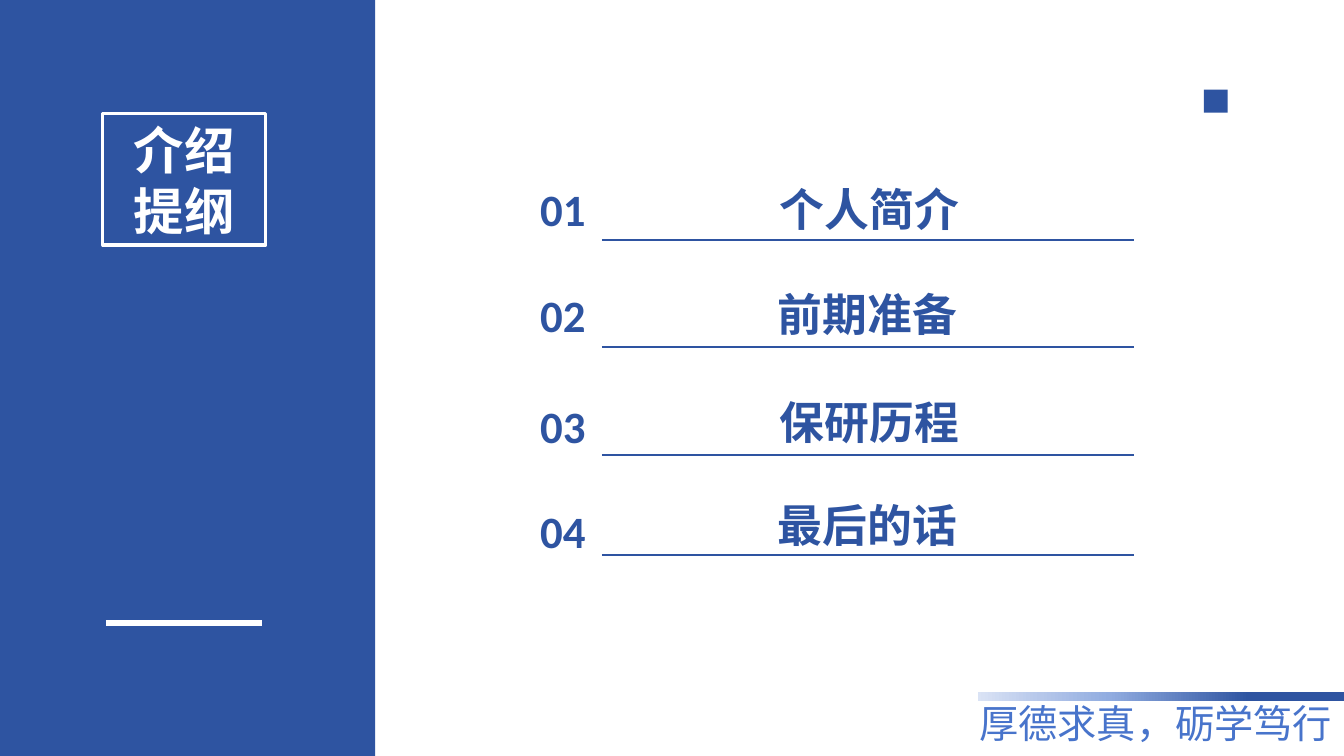
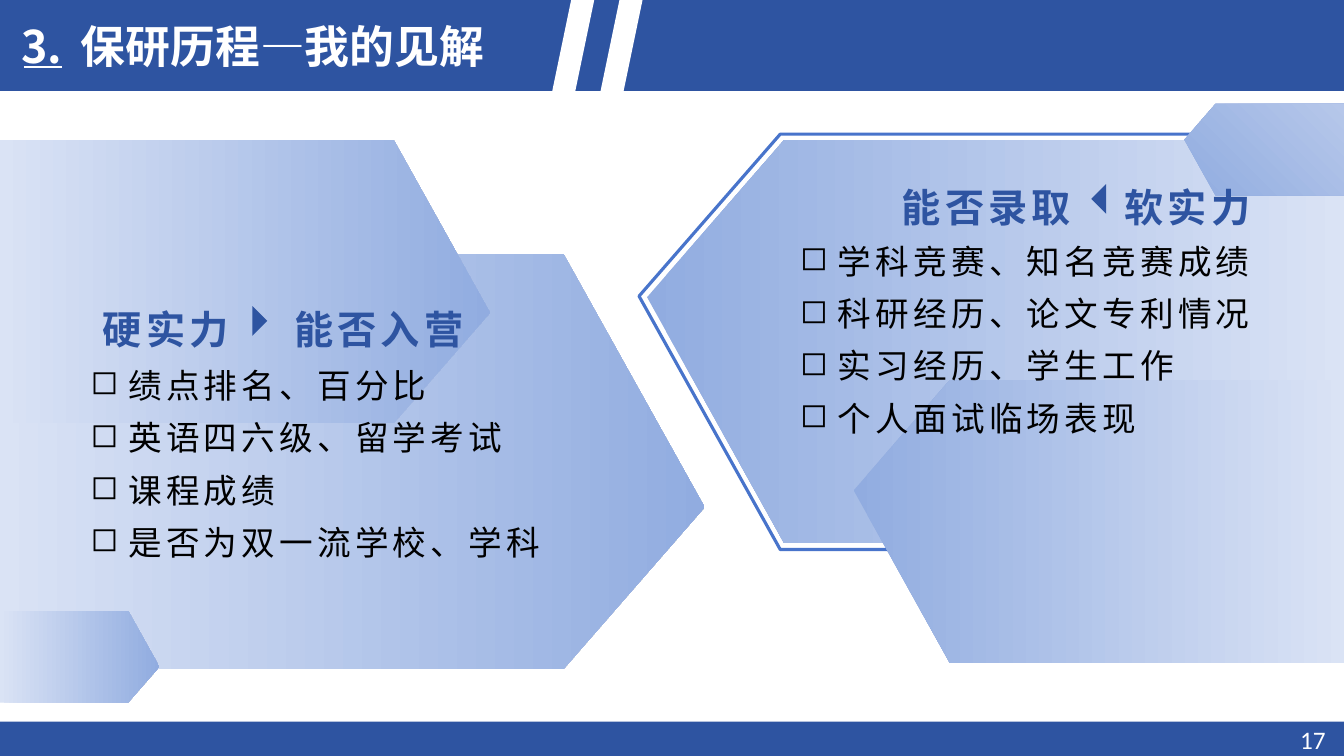
import pptx
import pptx.util
import pptx.dml.color
import pptx.enum.shapes
import pptx.enum.text
import pptx.oxml
import pptx.oxml.ns
import lxml.etree

Pt = pptx.util.Pt
RGBColor = pptx.dml.color.RGBColor
SHAPE = pptx.enum.shapes.MSO_SHAPE
ALIGN = pptx.enum.text.PP_ALIGN
ANCHOR = pptx.enum.text.MSO_ANCHOR
qn = pptx.oxml.ns.qn

NAVY = RGBColor(0x2E, 0x54, 0xA1)
BLUE = RGBColor(0x48, 0x74, 0xCB)
SKY = RGBColor(0x91, 0xAC, 0xE0)
MIST = RGBColor(0xB6, 0xC7, 0xEA)
PALE = RGBColor(0xDA, 0xE3, 0xF5)
WHITE = RGBColor(0xFF, 0xFF, 0xFF)
BLACK = RGBColor(0, 0, 0)

CHINESE = "Noto Sans CJK SC"
SLOGAN_FONT = "Noto Sans CJK JP"
WIDTH, HEIGHT = 960, 540
BAND = 65
FOOTER_TOP = 515.5

OUTLINE_TITLE = ["介绍", "提纲"]
SLOGAN = "厚德求真，砺学笃行"
AGENDA = [
    ("01", "个人简介", 621, 126, 126, 171.4),
    ("02", "前期准备", 619.6, 201.5, 202.3, 247.7),
    ("03", "保研历程", 621, 278.5, 281.5, 324.7),
    ("04", "最后的话", 619.6, 352, 356.4, 396.7),
]
VIEW_TITLE = "3.\t保研历程—我的见解"
PAGE_NUMBER = "17"
HARD_HEXAGONS = [
    (0, 181.4, 503.3, 296.6),
    (0, 100, 350, 202.3),
    (0, 436.3, 113.8, 65.5),
]
SOFT_MAIN = (462.2, 100, 497.8, 288)
SOFT_OUTLINE = (456.5, 95.8, 503.5, 296.7)
SOFT_CORNER = (846, 74.2, 114, 65.5)
SOFT_LOWER = (609.8, 271.4, 350.2, 202.3)
STRENGTHS = [
    {
        "headings": [("硬实力", 64, 109), ("能否入营", 201, 139)],
        "heading_top": 204.5,
        "arrow": (172.8, 221.8, 225),
        "list_at": (57.6, 248.4),
        "items": ["绩点排名、百分比", "英语四六级、留学考试", "课程成绩", "是否为双一流学校、学科"],
    },
    {
        "headings": [("能否录取", 634.3, 140.4), ("软实力", 794.2, 108)],
        "heading_top": 117.5,
        "arrow": (782.6, 134.6, 45),
        "list_at": (564.5, 159.8),
        "items": ["学科竞赛、知名竞赛成绩", "科研经历、论文专利情况", "实习经历、学生工作", "个人面试临场表现"],
    },
]


def write(box, text, size=32, font=CHINESE, color=NAVY, bold=False, align=ALIGN.CENTER,
          pitch=None, spacing=0, bullet=None, indent=0, tab=None, wrap=True, shadow=False):
    frame = box.text_frame
    frame.word_wrap = wrap
    frame.auto_size = pptx.enum.text.MSO_AUTO_SIZE.NONE
    frame.vertical_anchor = ANCHOR.TOP
    lines = [text] if isinstance(text, str) else text
    for index, line in enumerate(lines):
        para = frame.add_paragraph() if index else frame.paragraphs[0]
        para.alignment = align
        if pitch:
            para.line_spacing = Pt(pitch)
        properties = para._p.get_or_add_pPr()
        if bullet:
            properties.set("marL", str(Pt(indent)))
            properties.set("indent", str(-Pt(indent)))
            lxml.etree.SubElement(properties, qn("a:buChar"), char=bullet)
        if tab:
            stops = lxml.etree.SubElement(properties, qn("a:tabLst"))
            lxml.etree.SubElement(stops, qn("a:tab"), pos=str(Pt(tab)), algn="l")
        span = para.add_run()
        span.text = line
        span.font.size = Pt(size)
        span.font.bold = bold
        span.font.color.rgb = color
        span.font.name = font
        run_properties = span._r.get_or_add_rPr()
        latin = run_properties.find(qn("a:latin"))
        east_asian = lxml.etree.Element(qn("a:ea"), typeface=CHINESE if font == "Arial" else font)
        latin.addnext(east_asian)
        if spacing:
            run_properties.set("spc", str(spacing * 100))
        if shadow:
            latin.addprevious(pptx.oxml.parse_xml(
                '<a:effectLst xmlns:a="http://schemas.openxmlformats.org/drawingml/2006/main">'
                '<a:outerShdw blurRad="38100" dist="38100" dir="2700000" algn="tl">'
                '<a:srgbClr val="000000"><a:alpha val="40000"/></a:srgbClr>'
                '</a:outerShdw></a:effectLst>'))


def add_text(page, left, top, width, height, text, **style):
    box = page.shapes.add_textbox(Pt(left), Pt(top), Pt(width), Pt(height))
    write(box, text, **style)
    return box


def move_title(page, left, top, width, height, text, **style):
    title = page.shapes.title
    title.left, title.top, title.width, title.height = Pt(left), Pt(top), Pt(width), Pt(height)
    title.element.getparent().append(title.element)
    write(title, text, color=WHITE, bold=True, **style)
    return title


def add_block(page, left, top, width, height, color=NAVY, kind=SHAPE.RECTANGLE):
    block = page.shapes.add_shape(kind, Pt(left), Pt(top), Pt(width), Pt(height))
    block.shadow.inherit = False
    block.line.fill.background()
    block.fill.solid()
    block.fill.fore_color.rgb = color
    return block


def add_rule(page, left, right, y, color, weight):
    rule = page.shapes.add_connector(pptx.enum.shapes.MSO_CONNECTOR.STRAIGHT,
                                     Pt(left), Pt(y), Pt(right), Pt(y))
    rule.line.color.rgb = color
    rule.line.width = Pt(weight)
    lxml.etree.SubElement(rule._element.spPr, qn("a:effectLst"))


def shade(shape, stops, angle=0):
    shape.fill.gradient()
    shape.fill.gradient_angle = angle
    stop_list = shape._element.spPr.find(".//" + qn("a:gsLst"))
    for stop in list(stop_list):
        stop_list.remove(stop)
    for percent, color in stops:
        stop = lxml.etree.SubElement(stop_list, qn("a:gs"), pos=str(percent * 1000))
        lxml.etree.SubElement(stop, qn("a:srgbClr"), val=str(color))


def add_hexagon(page, left, top, width, height, faces_right, closed=True):
    slope = 0.34 * height
    bottom = top + height
    if faces_right:
        tail, shoulder, nose = left, left + width - slope, left + width
        nose_y = top + 0.61 * height
    else:
        tail, shoulder, nose = left + width, left + slope, left
        nose_y = top + 0.39 * height
    points = [(tail, top), (shoulder, top), (nose, nose_y), (shoulder, bottom), (tail, bottom)]
    corners = [(Pt(x), Pt(y)) for x, y in points]
    builder = page.shapes.build_freeform(*corners[0])
    builder.add_line_segments(corners[1:], close=closed)
    hexagon = builder.convert_to_shape()
    hexagon.shadow.inherit = False
    hexagon.line.fill.background()
    return hexagon


def build_outline(page):
    add_block(page, 0, 0, 268, HEIGHT)
    title = move_title(page, 73.4, 81, 116.6, 94, OUTLINE_TITLE, size=36, pitch=43.5)
    title.line.color.rgb = WHITE
    title.line.width = Pt(2.25)
    add_rule(page, 75.6, 187.2, 445, WHITE, 4.5)
    add_block(page, 860, 64, 17, 16.5)
    for number, label, center, label_top, number_top, rule_y in AGENDA:
        add_text(page, center - 155, label_top, 310, 46, label, bold=True, pitch=38.5)
        add_text(page, 375.8, number_top, 52.6, 46, number, font="Calibri", bold=True)
        add_rule(page, 430, 810, rule_y, NAVY, 1.5)
    bar = add_block(page, 698.4, 494.6, WIDTH - 698.4, 6)
    shade(bar, [(0, PALE), (17, MIST), (36, SKY), (74, NAVY), (100, NAVY)])
    add_text(page, 691, 496, WIDTH - 691, 41, SLOGAN, size=28, font=SLOGAN_FONT,
             color=BLUE, pitch=33.5, wrap=False, shadow=True)


def build_view(page):
    add_block(page, 0, 0, WIDTH, BAND)
    add_block(page, 0, FOOTER_TOP, WIDTH, HEIGHT - FOOTER_TOP)
    move_title(page, 8, 10, 380, 46, VIEW_TITLE, align=ALIGN.LEFT, pitch=38.5, tab=42.5)
    add_rule(page, 17, 44, 47.8, WHITE, 1.5)
    for left in (394.5, 429):
        stripe = add_block(page, left, 0, 30, BAND, WHITE, SHAPE.PARALLELOGRAM)
        stripe.adjustments[0] = 0.45
    add_text(page, 921.6, 514, WIDTH - 921.6, 26, PAGE_NUMBER, size=18, font="Calibri",
             color=WHITE, align=ALIGN.LEFT, wrap=False)

    for place in HARD_HEXAGONS:
        shade(add_hexagon(page, *place, faces_right=True), [(0, PALE), (100, SKY)])
    shade(add_hexagon(page, *SOFT_MAIN, faces_right=False), [(0, SKY), (100, PALE)])
    outline = add_hexagon(page, *SOFT_OUTLINE, faces_right=False, closed=False)
    outline.fill.background()
    outline.line.color.rgb = BLUE
    outline.line.width = Pt(2.25)
    shade(add_hexagon(page, *SOFT_CORNER, faces_right=False), [(0, SKY), (100, MIST)], angle=45)
    shade(add_hexagon(page, *SOFT_LOWER, faces_right=False), [(0, SKY), (100, PALE)])

    for strength in STRENGTHS:
        for heading, left, width in strength["headings"]:
            add_text(page, left, strength["heading_top"], width, 51, heading, size=28,
                     bold=True, pitch=43.7, spacing=3, wrap=False)
        left, top, turn = strength["arrow"]
        arrow = add_block(page, left, top, 15, 15, kind=SHAPE.RIGHT_TRIANGLE)
        arrow.rotation = turn
        add_text(page, *strength["list_at"], 338.4, 158, strength["items"], size=24,
                 font="Arial", color=BLACK, align=ALIGN.LEFT, pitch=37.4, spacing=3,
                 bullet="◻", indent=27, wrap=False)


def main():
    deck = pptx.Presentation()
    deck.slide_width, deck.slide_height = Pt(WIDTH), Pt(HEIGHT)
    for build in (build_outline, build_view):
        build(deck.slides.add_slide(deck.slide_layouts[5]))
    deck.save("out.pptx")


if __name__ == "__main__":
    main()
